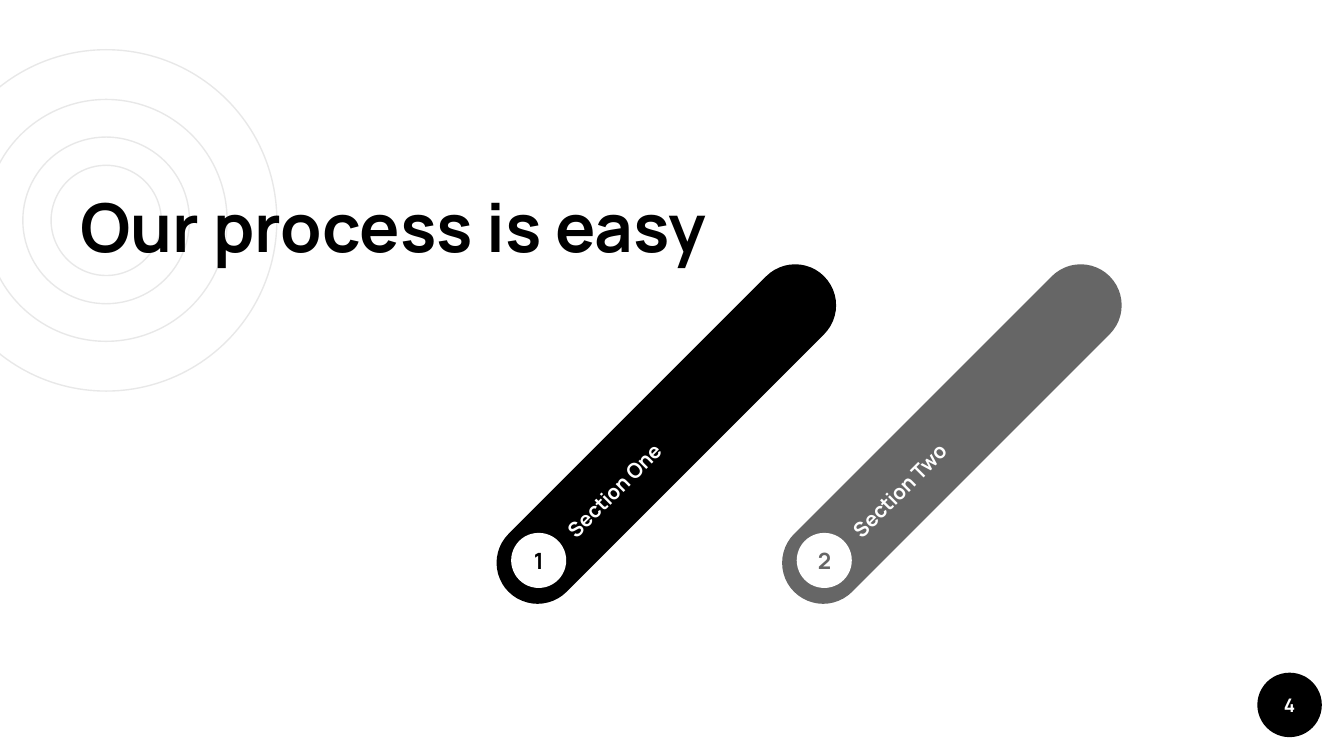
from dataclasses import dataclass

from pptx import Presentation
from pptx.dml.color import RGBColor
from pptx.enum.shapes import MSO_SHAPE
from pptx.enum.text import MSO_ANCHOR, MSO_AUTO_SIZE, PP_ALIGN
from pptx.shapes.autoshape import Shape
from pptx.shapes.shapetree import GroupShapes, SlideShapes
from pptx.util import Inches, Pt

BLACK = RGBColor(0x00, 0x00, 0x00)
WHITE = RGBColor(0xFF, 0xFF, 0xFF)
GREY = RGBColor(0x66, 0x66, 0x66)
RING_GREY = RGBColor(0xE8, 0xE8, 0xE8)
FONT = "Manrope"

SLIDE_WIDTH = Inches(10)
SLIDE_HEIGHT = SLIDE_WIDTH * 9 // 16
CELL = SLIDE_WIDTH // 100
INSET = CELL

RING_CENTER = (7.9, 16.4)
RING_DIAMETERS = (25.4, 12.4, 18, 8.2)
STEP_CENTER = 49.58
STEP_PITCH = 21.25


@dataclass(frozen=True)
class Box:
    """A rectangle measured in grid columns and rows."""

    left: float
    top: float
    width: float
    height: float

    @classmethod
    def centered(cls, x: float, y: float, width: float, height: float) -> "Box":
        return cls(x - width / 2, y - height / 2, width, height)

    def lengths(self) -> tuple[int, ...]:
        return tuple(round(value * CELL) for value in (self.left, self.top, self.width, self.height))


@dataclass(frozen=True)
class Step:
    number: str
    label: str
    color: RGBColor


STEPS = (Step("1", "Section One", BLACK), Step("2", "Section Two", GREY))


def write(shape: Shape, text: str, size: float, color: RGBColor,
          alignment: PP_ALIGN = PP_ALIGN.CENTER, anchor: MSO_ANCHOR = MSO_ANCHOR.MIDDLE) -> None:
    frame = shape.text_frame
    frame.word_wrap = True
    frame.auto_size = MSO_AUTO_SIZE.NONE
    frame.vertical_anchor = anchor
    frame.margin_left = frame.margin_top = frame.margin_right = frame.margin_bottom = INSET
    paragraph = frame.paragraphs[0]
    paragraph.alignment = alignment
    run = paragraph.add_run()
    run.text = text
    run.font.name = FONT
    run.font.size = Pt(size)
    run.font.bold = True
    run.font.color.rgb = color


def add_filled(shapes: SlideShapes | GroupShapes, kind: MSO_SHAPE, box: Box, color: RGBColor) -> Shape:
    shape = shapes.add_shape(kind, *box.lengths())
    shape.shadow.inherit = False
    shape.fill.solid()
    shape.fill.fore_color.rgb = color
    shape.line.fill.background()
    return shape


def add_rings(shapes: SlideShapes) -> None:
    group = shapes.add_group_shape()
    for diameter in RING_DIAMETERS:
        box = Box.centered(*RING_CENTER, diameter, diameter)
        ring = group.shapes.add_shape(MSO_SHAPE.OVAL, *box.lengths())
        ring.shadow.inherit = False
        ring.fill.background()
        ring.line.color.rgb = RING_GREY
        ring.line.width = Pt(0.75)


def add_step(shapes: SlideShapes, step: Step, center: float) -> None:
    group = shapes.add_group_shape()
    bar = add_filled(group.shapes, MSO_SHAPE.ROUNDED_RECTANGLE,
                     Box.centered(center, 32.3, 6.1, 33.2), step.color)
    bar.adjustments[0] = 0.5
    bar.rotation = 45
    badge = add_filled(group.shapes, MSO_SHAPE.OVAL,
                       Box.centered(center - 9.5, 41.7, 4.1, 4.1), WHITE)
    write(badge, step.number, 12, step.color)
    label = group.shapes.add_textbox(*Box.centered(center + 1.1, 31.28, 25.5, 4.3).lengths())
    label.rotation = 315
    write(label, step.label, 11, WHITE, PP_ALIGN.LEFT)
    label.text_frame.paragraphs[0].line_spacing = 1.15


def add_title(shapes: SlideShapes, text: str) -> None:
    title = shapes.title
    title.left, title.top, title.width, title.height = Box(5, 12.8, 57.8, 7.5).lengths()
    write(title, text, 36, BLACK, PP_ALIGN.LEFT, MSO_ANCHOR.TOP)
    tree = title.element.getparent()
    tree.remove(title.element)
    tree.append(title.element)


def main() -> None:
    """Build the two-step process slide."""
    presentation = Presentation()
    presentation.slide_width = SLIDE_WIDTH
    presentation.slide_height = SLIDE_HEIGHT
    slide = presentation.slides.add_slide(presentation.slide_layouts[5])
    slide.background.fill.solid()
    slide.background.fill.fore_color.rgb = WHITE
    add_rings(slide.shapes)
    page_box = Box(93.55, 50.05, 4.8, 4.8)
    add_filled(slide.shapes, MSO_SHAPE.OVAL, page_box, BLACK)
    add_title(slide.shapes, "Our process is easy")
    page_number = slide.shapes.add_textbox(*page_box.lengths())
    write(page_number, "4", 10, WHITE)
    for index, step in enumerate(STEPS):
        add_step(slide.shapes, step, STEP_CENTER + index * STEP_PITCH)
    presentation.save("out.pptx")


if __name__ == "__main__":
    main()
